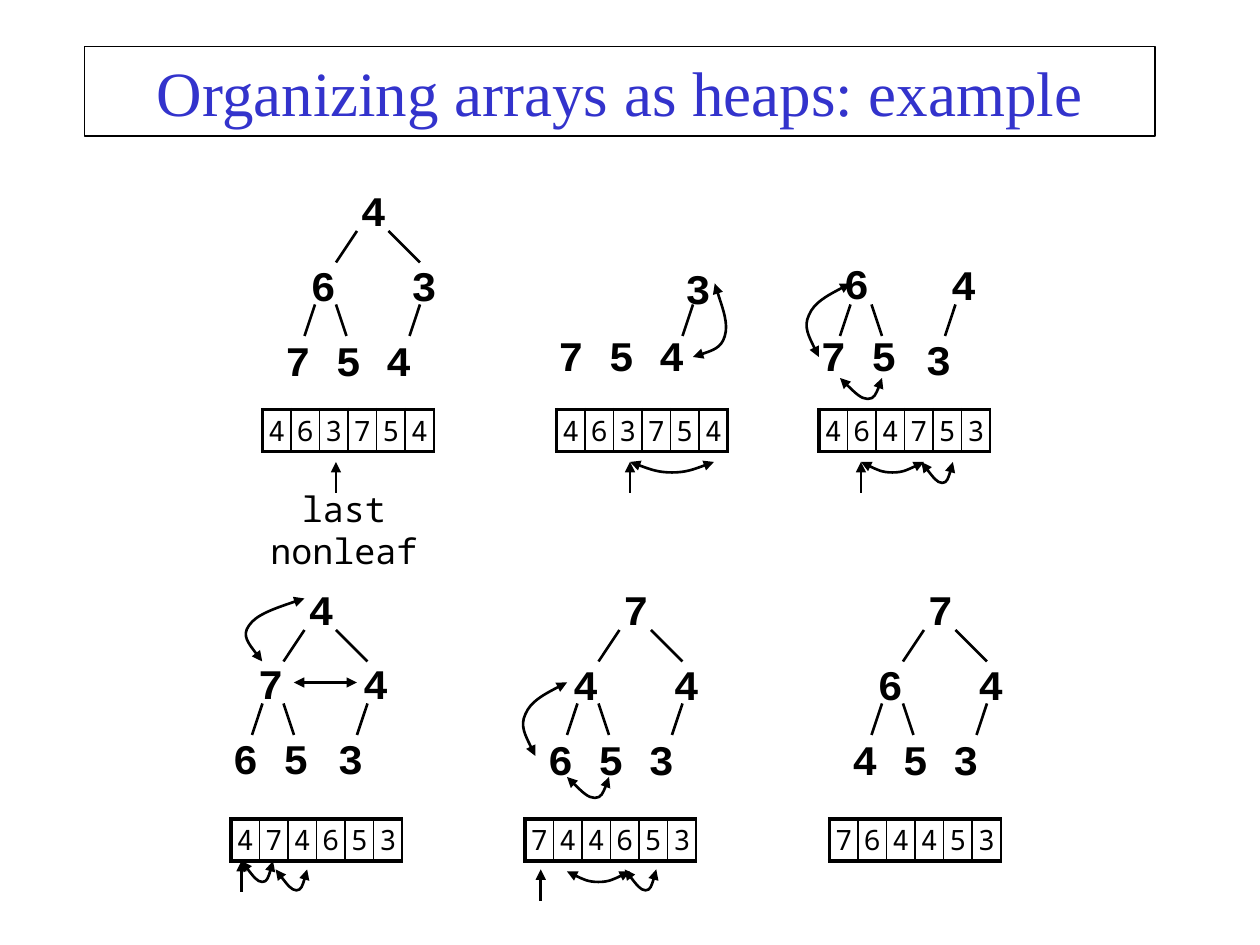
"""Build the slide showing how an array is organized as a heap."""
from lxml import etree
from pptx import Presentation
from pptx.dml.color import RGBColor
from pptx.enum.shapes import MSO_CONNECTOR, MSO_SHAPE
from pptx.enum.text import MSO_ANCHOR, PP_ALIGN
from pptx.oxml.ns import qn
from pptx.util import Inches, Pt

STRAIGHT = MSO_CONNECTOR.STRAIGHT
RECTANGLE = MSO_SHAPE.RECTANGLE
MIDDLE = MSO_ANCHOR.MIDDLE
LEFT, CENTER = PP_ALIGN.LEFT, PP_ALIGN.CENTER

COLORS = {"ink": "000000", "title": "3333CC"}
FORMATS = {
    "title": {"name": "Times New Roman", "size": Pt(36), "bold": False},
    "node": {"name": "Courier New", "size": Pt(24), "bold": True},
    "note": {"name": "Noto Sans Mono", "size": Pt(20), "bold": False},
    "item": {"name": "Noto Sans Mono", "size": Pt(16), "bold": False},
}

deck = Presentation()
deck.slide_width, deck.slide_height = Inches(10), Inches(7.5)
UNIT = deck.slide_width / 120
LETTER = Inches(0.2)
page = deck.slides.add_slide(deck.slide_layouts[6])


def write(frame, rows, style, align=LEFT, color="ink"):
    """Fill a text frame; dots in a row stand for letter columns left open."""
    frame.word_wrap = True
    for number, row in enumerate(rows):
        para = frame.add_paragraph() if number else frame.paragraphs[0]
        para.alignment = align
        para.space_before = Pt(14 if number else 0)
        stops = [col for col in range(1, len(row)) if row[col - 1] == "." != row[col]]
        if stops:
            tabs = etree.SubElement(para._p.get_or_add_pPr(), qn("a:tabLst"))
            for col in stops:
                etree.SubElement(tabs, qn("a:tab"), pos=str(col * LETTER), algn="l")
        span = para.add_run()
        span.text = "".join("\t" * (col in stops) + mark for col, mark in enumerate(row) if mark != ".")
        for key, value in FORMATS[style].items():
            setattr(span.font, key, value)
        span.font.color.rgb = RGBColor.from_string(COLORS[color])


def stroke(shape, weight=1.5, ends=()):
    """Draw a plain black outline with triangles at the named ends."""
    shape.line.color.rgb = RGBColor.from_string(COLORS["ink"])
    shape.line.width = Pt(weight)
    for end in ends:
        etree.SubElement(shape.line._get_or_add_ln(), qn(f"a:{end}"), type="triangle")
    etree.SubElement(shape._element.spPr, qn("a:effectLst"))


title = page.shapes.add_shape(RECTANGLE, Inches(0.67), Inches(0.37), Inches(8.5), Inches(0.71))
title.fill.background()
stroke(title, 1)
title.text_frame.vertical_anchor = MIDDLE
write(title.text_frame, ["Organizing arrays as heaps: example"], "title", CENTER, "title")

TEXTS = [
    (26, 17, 17, 20.4, ["...4", ".6...3", "7 5 4"]),
    (52, 30.8, 17, 6, ["7 5 4"]),
    (64.1, 24.4, 6, 6, ["3"]),
    (87, 24, 9, 13.2, [".4", "3"]),
    (79.2, 23.9, 6, 6, ["6"]),
    (77, 30.8, 11, 6, ["7 5"]),
    (21, 55, 16, 6, ["...4"]),
    (21, 62, 11, 13.2, [".7", "6 5"]),
    (31, 62, 9, 13.2, [".4", "3"]),
    (51, 55, 17, 20.4, ["...7", ".4...4", "6 5 3"]),
    (80, 55, 17, 20.4, ["...7", ".6...4", "4 5 3"]),
]
for *place, rows in TEXTS:
    box = page.shapes.add_textbox(*[int(n * UNIT) for n in place])
    write(box.text_frame, rows, "node")
note = page.shapes.add_textbox(Inches(1.77), Inches(3.82), Inches(1.92), Inches(0.76))
write(note.text_frame, ["last nonleaf"], "note", CENTER)

EDGES = [(8, 5, 6, 8), (11, 5, 14, 8), (4, 12, 3, 15), (6, 12, 7, 15), (14, 12, 13, 15)]
TREES = [(26, 17, 0), (52, 17, 4), (77, 17, 2), (21, 55, 0), (51, 55, 0), (80, 55, 0)]
for left, top, first in TREES:
    for x1, y1, x2, y2 in EDGES[first:]:
        ends = (left + x1, top + y1, left + x2, top + y2)
        stroke(page.shapes.add_connector(STRAIGHT, *[int(n * UNIT) for n in ends]))

POINTERS = [(32, 44, 1), (60, 44, 1), (82, 44, 1.5), (23, 82, 1.5), (51.5, 82.8, 1.5)]
for x, y, weight in POINTERS:
    ends = (x, y, x, y + 3)
    stroke(page.shapes.add_connector(STRAIGHT, *[int(n * UNIT) for n in ends]), weight, ["headEnd"])
swap = page.shapes.add_connector(STRAIGHT, *[int(n * UNIT) for n in (28, 65, 34, 65)])
stroke(swap, 1.5, ["headEnd", "tailEnd"])

CURVES = {
    "bowl": [(0, 0), (0.17, 0.5), (0.33, 1), (0.5, 1), (0.67, 1), (0.83, 0.5), (1, 0)],
    "hook": [(0, 0), (0.25, 0.5), (0.5, 1), (0.66, 1), (0.82, 1), (0.92, 0.5), (1, 0)],
    "left": [(1, 0), (0.6, 0.13), (0.23, 0.26), (0.12, 0.43), (0, 0.59), (0.17, 0.79), (0.33, 1)],
    "right": [(0.61, 0), (0.79, 0.28), (1, 0.55), (0.89, 0.72), (0.79, 0.88), (0.39, 0.94), (0, 1)],
}
SWAPS = [
    ("right", 66, 27, 3.4, 7), ("bowl", 60, 44, 8, 1),
    ("left", 76.5, 27, 4.5, 7), ("hook", 80, 36, 4, 2),
    ("bowl", 82, 44, 6, 1), ("hook", 87.75, 44, 3, 2),
    ("left", 23, 57, 6, 6), ("hook", 23, 82, 3, 2), ("hook", 26.25, 82.8, 3, 2),
    ("left", 49.5, 65, 4.5, 7), ("hook", 54, 74, 4, 2),
    ("bowl", 54, 83, 6, 1), ("hook", 59.5, 82.8, 3, 2),
]
for kind, left, top, width, height in SWAPS:
    points = [(int((left + x * width) * UNIT), int((top + y * height) * UNIT)) for x, y in CURVES[kind]]
    builder = page.shapes.build_freeform(*points[0])
    builder.add_line_segments(points[1:], close=False)
    curve = builder.convert_to_shape()
    outline = next(curve._element.iter(qn("a:path")))
    steps = outline.findall(qn("a:lnTo"))
    for start in (0, 3):
        bend = etree.SubElement(outline, qn("a:cubicBezTo"))
        for step in steps[start:start + 3]:
            bend.append(step[0])
            outline.remove(step)
    curve.fill.background()
    stroke(curve, 1.5, ["headEnd", "tailEnd"])

ARRAYS = [
    (25, 39, "463754"), (53, 39, "463754"), (78, 39, "464753"),
    (22, 78, "474653"), (50, 78, "744653"), (79, 78, "764453"),
]
MARGINS = ["margin_left", "margin_right", "margin_top", "margin_bottom"]
for left, top, digits in ARRAYS:
    place = (left, top, 16.32, 4)
    table = page.shapes.add_table(1, len(digits), *[int(n * UNIT) for n in place]).table
    table.first_row = table.horz_banding = False
    for col, digit in enumerate(digits):
        cell = table.cell(0, col)
        cell.fill.background()
        cell.vertical_anchor = MIDDLE
        for margin in MARGINS:
            setattr(cell, margin, Inches(0.01))
        write(cell.text_frame, [digit], "item", CENTER)
        borders = {
            "lnL": 1 if col else 2.25,
            "lnR": 1.5 if col == len(digits) - 1 else 1,
            "lnT": 2.25,
            "lnB": 2.25,
        }
        for order, (side, weight) in enumerate(borders.items()):
            border = etree.Element(qn(f"a:{side}"), w=str(Pt(weight)))
            fill = etree.SubElement(border, qn("a:solidFill"))
            etree.SubElement(fill, qn("a:srgbClr"), val=COLORS["ink"])
            cell._tc.get_or_add_tcPr().insert(order, border)

deck.save("out.pptx")
